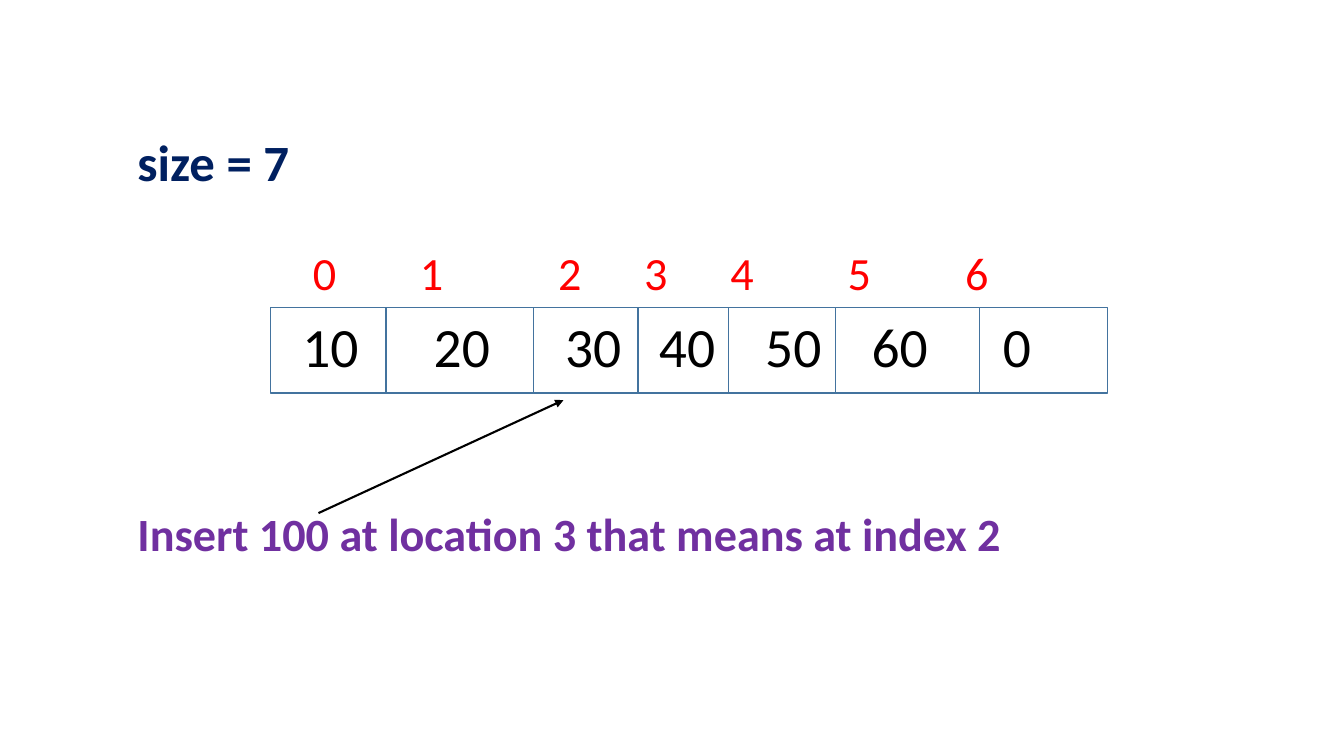
from dataclasses import dataclass

from lxml.etree import SubElement
from pptx import Presentation
from pptx.dml.color import RGBColor
from pptx.enum.shapes import MSO_CONNECTOR as Connector, MSO_SHAPE as Preset
from pptx.enum.text import MSO_ANCHOR as Anchor, MSO_AUTO_SIZE as AutoSize, PP_ALIGN as Align
from pptx.oxml.ns import qn
from pptx.util import Pt

EDGES = (193, 275.8, 380.9, 455.8, 520.6, 596.9, 699.8, 791.3)
ARRAY_TOP, ARRAY_HEIGHT = 219.6, 61.2
TEXT_WIDTH, TEXT_HEIGHT = 828, 38.9


@dataclass
class TextLine:
    words: tuple[str, ...]
    left: float
    top: float
    size: float
    color: str
    bold: bool = False
    spacing: float = 0.7
    inset: float = 14.7
    stops: tuple[float, ...] = ()


VALUES = TextLine(("10", "20", "30", "40", "50", "60", "0"), 208.8, 230.4, 39.6, "000000",
                  spacing=0.9, inset=7.2, stops=(93.8, 187.7, 254.7, 330.6, 406.6, 500.4))
LABELS = (
    TextLine(tuple("0123456"), 208.8, 180, 33, "FF0000",
             stops=(76.4, 175.2, 236.7, 298.2, 382, 465.9)),
    TextLine(("size = 7",), 83.5, 100.8, 36.3, "002060", bold=True),
    TextLine(("Insert 100 at location 3 that means at index 2",), 83.5, 366.5, 33, "7030A0",
             bold=True),
)


def rgb(color: str) -> RGBColor:
    return RGBColor.from_string(color)


def apply(target, values: dict) -> None:
    for name, value in values.items():
        setattr(target, name, value)


def draw_frame(page, left: float, right: float, filled: bool) -> None:
    frame = page.shapes.add_shape(Preset.RECTANGLE, Pt(left), Pt(ARRAY_TOP),
                                  Pt(right - left), Pt(ARRAY_HEIGHT))
    frame.shadow.inherit = False
    if filled:
        frame.fill.solid()
        frame.fill.fore_color.rgb = rgb("FFFFFF")
    else:
        frame.fill.background()
    frame.line.color.rgb = rgb("43739E")
    frame.line.width = Pt(1)


def write_line(box, line: TextLine) -> None:
    apply(box, {"left": Pt(line.left), "top": Pt(line.top),
                "width": Pt(TEXT_WIDTH), "height": Pt(TEXT_HEIGHT)})
    apply(box.text_frame, {"word_wrap": True, "auto_size": AutoSize.NONE,
                           "vertical_anchor": Anchor.MIDDLE, "margin_left": Pt(line.inset)})
    para = box.text_frame.paragraphs[0]
    apply(para, {"alignment": Align.LEFT, "line_spacing": line.spacing, "space_before": Pt(0)})
    if line.stops:
        tabs = SubElement(para._p.get_or_add_pPr(), qn("a:tabLst"))
        for stop in line.stops:
            SubElement(tabs, qn("a:tab"), pos=str(Pt(stop)), algn="l")
    span = para.add_run()
    span.text = "\t".join(line.words)
    apply(span.font, {"name": "Calibri", "size": Pt(line.size), "bold": line.bold})
    span.font.color.rgb = rgb(line.color)


def draw_arrow(page, start: tuple[float, float], end: tuple[float, float]) -> None:
    arrow = page.shapes.add_connector(Connector.STRAIGHT, *map(Pt, start + end))
    arrow.line.color.rgb = rgb("000000")
    arrow.line.width = Pt(1.5)
    SubElement(arrow.line._get_or_add_ln(), qn("a:tailEnd"), type="triangle")
    SubElement(arrow.element.spPr, qn("a:effectLst"))


deck = Presentation()
apply(deck, {"slide_width": Pt(960), "slide_height": Pt(540)})
page = deck.slides.add_slide(deck.slide_layouts[5])

frames = list(zip(EDGES, reversed(EDGES)))[:len(EDGES) // 2]
for left, right in frames:
    draw_frame(page, left, right, filled=(left, right) != frames[-1])

title = page.shapes.title
title.element.getparent().append(title.element)
write_line(title, VALUES)
for label in LABELS:
    write_line(page.shapes.add_textbox(0, 0, 0, 0), label)

draw_arrow(page, (227.5, 366.5), (402.5, 285.8))
deck.save("out.pptx")
